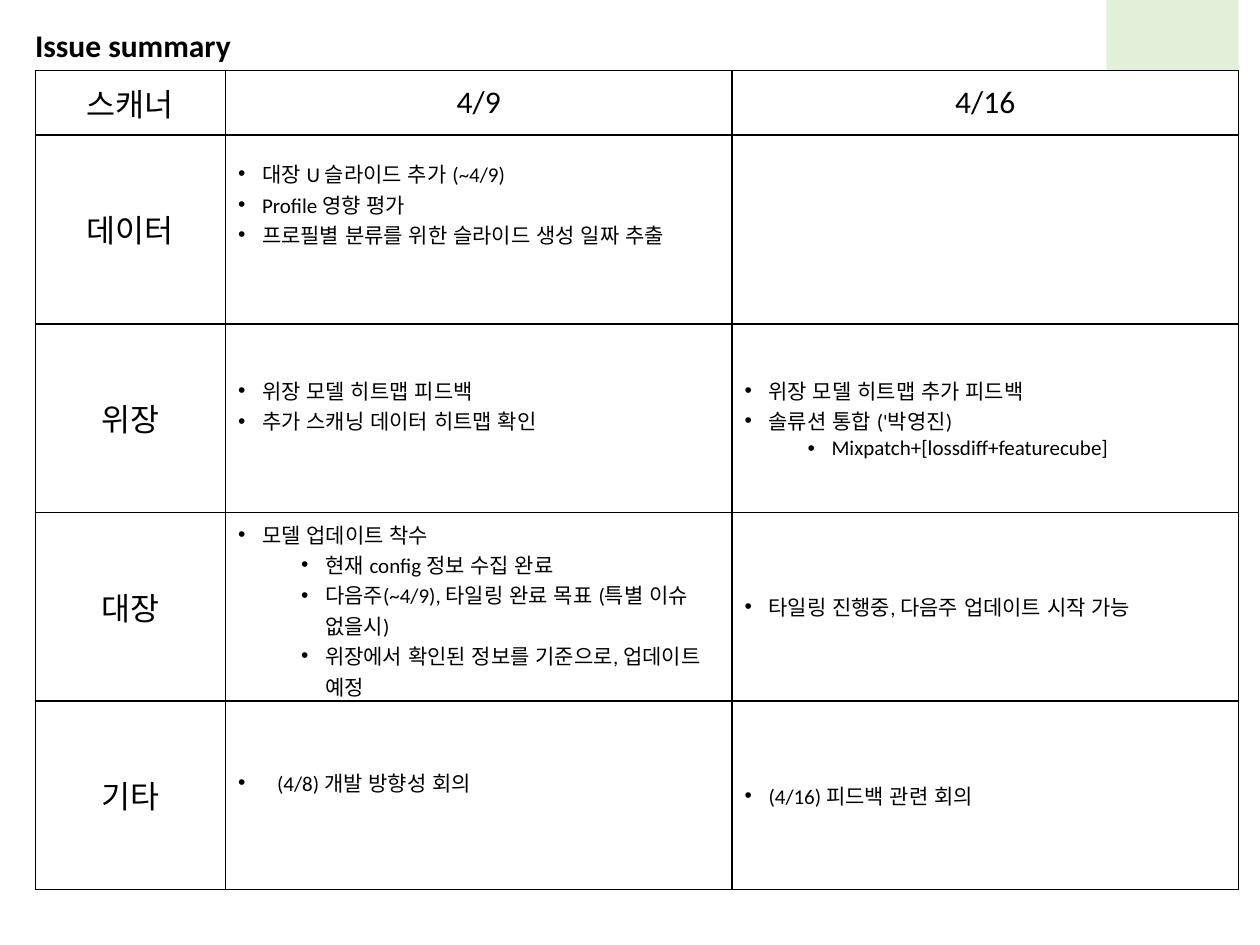
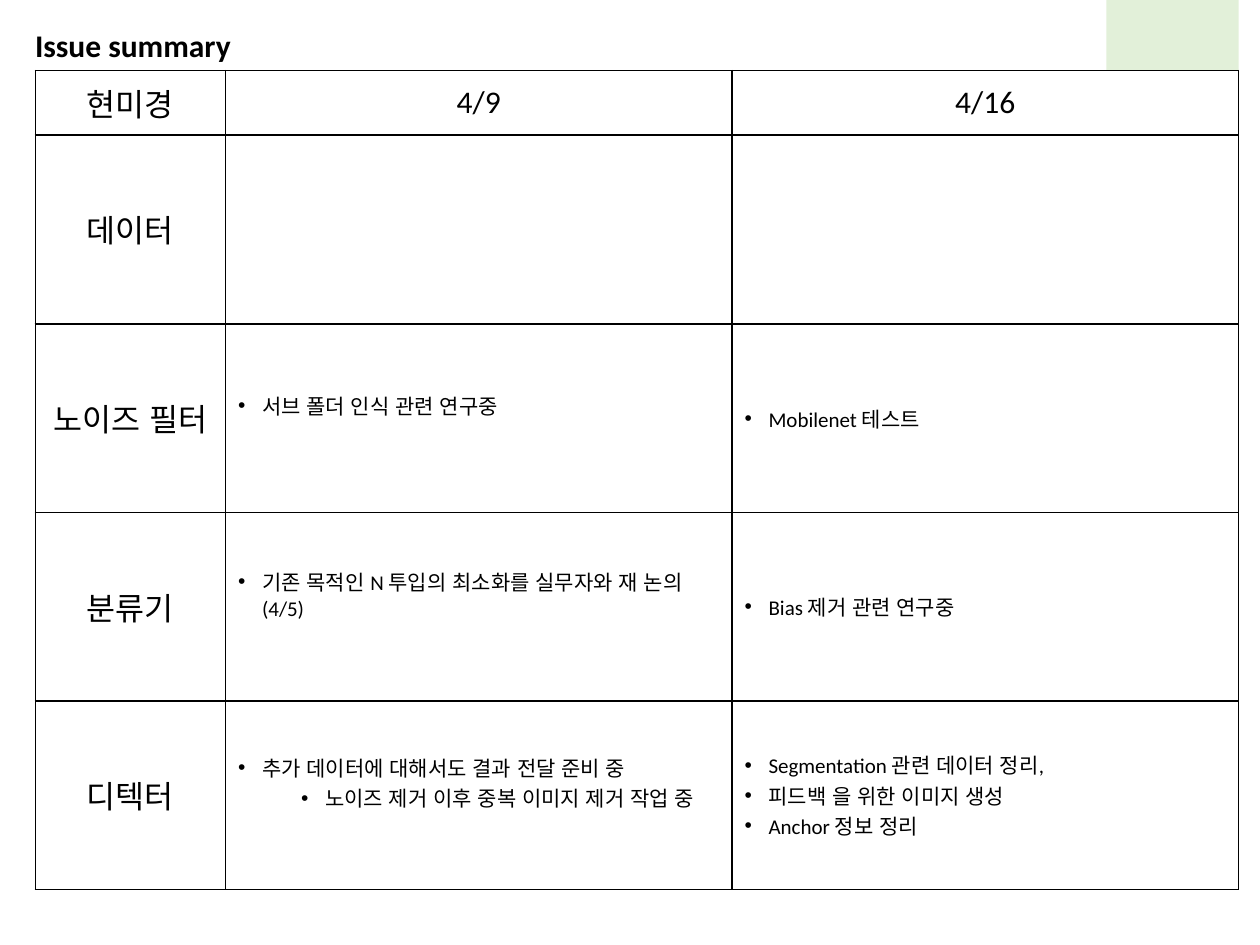
from dataclasses import dataclass, field

from lxml import etree
from pptx import Presentation
from pptx.dml.color import RGBColor
from pptx.enum.lang import MSO_LANGUAGE_ID
from pptx.enum.shapes import MSO_SHAPE
from pptx.enum.text import MSO_ANCHOR, PP_ALIGN
from pptx.oxml.ns import qn
from pptx.util import Inches, Pt

RECTANGLE = MSO_SHAPE.RECTANGLE
MIDDLE = MSO_ANCHOR.MIDDLE
CENTER = PP_ALIGN.CENTER
KOREAN = MSO_LANGUAGE_ID.KOREAN

FONT = "Calibri"
BLACK, WHITE, GREEN = "000000", "FFFFFF", "E2F0D9"
TITLE = "Issue summary"
DATES = ["4/9", "4/16"]

TABLE_LEFT, TABLE_TOP, LOWER_TOP = 0.28, 0.56, 2.57
COLUMN_WIDTHS = [1.51, 4.02, 4.02]
HEADER_HEIGHT, ROW_HEIGHT = 0.51, 4.49 / 3
CELL_MARGIN = 0.05

# Level, left margin and hanging indent of each bullet style
MAIN = (0, 0.19, 0.19)
WIDE = (0, 0.31, 0.31)
SUB = (1, 0.69, 0.19)


@dataclass
class Notes:
    """Bullets of one cell; bottom_gap raises them above the middle."""
    bullets: list = field(default_factory=list)
    bottom_gap: float = 0


EMPTY_ROW = ("", Notes(), Notes())

# Each slide: topic, rows of the upper table, rows of the lower table,
# where a row is (label, notes for each date)
REPORTS = [
    ("스캐너", [
        ("데이터",
         Notes([("대장 U 슬라이드 추가 (~4/9)", MAIN),
                ("Profile 영향 평가", MAIN),
                ("프로필별 분류를 위한 슬라이드 생성 일짜 추출", MAIN)], 0.4),
         Notes()),
        EMPTY_ROW,
    ], [
        ("위장",
         Notes([("위장 모델 히트맵 피드백", MAIN),
                ("추가 스캐닝 데이터 히트맵 확인", MAIN)], 0.2),
         Notes([("위장 모델 히트맵 추가 피드백", MAIN),
                ("솔류션 통합 ('박영진)", MAIN),
                ("Mixpatch+[lossdiff+featurecube]", SUB)])),
        ("대장",
         Notes([("모델 업데이트 착수", MAIN),
                ("현재 config 정보 수집 완료", SUB),
                ("다음주(~4/9), 타일링 완료 목표 (특별 이슈 없을시)", SUB),
                ("위장에서 확인된 정보를 기준으로, 업데이트 예정", SUB)]),
         Notes([("타일링 진행중, 다음주 업데이트 시작 가능", MAIN)])),
        ("기타",
         Notes([("(4/8) 개발 방향성 회의", WIDE)], 0.2),
         Notes([("(4/16) 피드백 관련 회의", MAIN)])),
    ]),
    ("현미경", [
        ("데이터", Notes(), Notes()),
    ], [
        ("노이즈 필터",
         Notes([("서브 폴더 인식 관련 연구중", MAIN)], 0.2),
         Notes([("Mobilenet 테스트", MAIN)])),
        ("분류기",
         Notes([("기존 목적인 N 투입의 최소화를 실무자와 재 논의 (4/5)", MAIN)], 0.2),
         Notes([("Bias 제거 관련 연구중", MAIN)])),
        ("디텍터",
         Notes([("추가 데이터에 대해서도 결과 전달 준비 중", MAIN),
                ("노이즈 제거 이후 중복 이미지 제거 작업 중", SUB)], 0.2),
         Notes([("Segmentation 관련 데이터 정리,", MAIN),
                ("피드백 을 위한 이미지 생성", MAIN),
                ("Anchor 정보 정리", MAIN)])),
    ]),
]


def color(hex_string):
    return RGBColor.from_string(hex_string)


def write(para, text, size, bold=False):
    para.text = text
    for span in para.runs:
        span.font.name = FONT
        span.font.size = Pt(size)
        span.font.bold = bold
        span.font.language_id = KOREAN
        span.font.color.rgb = color(BLACK)


def add_bullet(para, style):
    level, left, hang = style
    para.level = level
    properties = para._p.get_or_add_pPr()
    properties.set("marL", str(Inches(left)))
    properties.set("indent", str(-Inches(hang)))
    etree.SubElement(properties, qn("a:buFont"), typeface="Arial")
    etree.SubElement(properties, qn("a:buChar"), char="•")


def format_cell(cell):
    """Give a cell black borders, a white fill and middle alignment."""
    properties = cell._tc.get_or_add_tcPr()
    for side in ("a:lnL", "a:lnR", "a:lnT", "a:lnB"):
        border = etree.SubElement(properties, qn(side), w=str(Pt(1)))
        fill = etree.SubElement(border, qn("a:solidFill"))
        etree.SubElement(fill, qn("a:srgbClr"), val=BLACK)
    cell.fill.solid()
    cell.fill.fore_color.rgb = color(WHITE)
    cell.vertical_anchor = MIDDLE


def fill_cell(cell, content):
    """Write a centred label or a list of bulleted notes."""
    format_cell(cell)
    frame = cell.text_frame
    if isinstance(content, str):
        write(frame.paragraphs[0], content, 18)
        frame.paragraphs[0].alignment = CENTER
        return
    cell.margin_bottom = Inches(CELL_MARGIN + content.bottom_gap)
    for index, (text, style) in enumerate(content.bullets):
        para = frame.add_paragraph() if index else frame.paragraphs[0]
        add_bullet(para, style)
        write(para, text, 12)


def add_issue_table(page, top, rows, heights):
    frame = page.shapes.add_table(
        len(rows), len(COLUMN_WIDTHS), Inches(TABLE_LEFT), Inches(top),
        Inches(sum(COLUMN_WIDTHS)), Inches(sum(heights)))
    table = frame.table
    table.first_row = table.horz_banding = False
    for column, width in zip(table.columns, COLUMN_WIDTHS):
        column.width = Inches(width)
    for row, height, contents in zip(table.rows, heights, rows):
        row.height = Inches(height)
        for cell, content in zip(row.cells, contents):
            fill_cell(cell, content)


def add_frame(page):
    """Add the green corner block and the title."""
    block = page.shapes.add_shape(
        RECTANGLE, Inches(8.78), Inches(-0.15), Inches(1.05), Inches(1.44))
    block.shadow.inherit = False
    block.fill.solid()
    block.fill.fore_color.rgb = color(GREEN)
    block.line.fill.background()
    box = page.shapes.add_textbox(
        Inches(0.18), Inches(0.16), Inches(3.13), Inches(0.4))
    box.text_frame.word_wrap = True
    write(box.text_frame.paragraphs[0], TITLE, 18, bold=True)


def main():
    deck = Presentation()
    deck.slide_width, deck.slide_height = Inches(10), Inches(7.5)
    for topic, upper_rows, lower_rows in REPORTS:
        page = deck.slides.add_slide(deck.slide_layouts[6])
        add_frame(page)
        add_issue_table(page, TABLE_TOP, [(topic, *DATES), *upper_rows],
                        [HEADER_HEIGHT] + [ROW_HEIGHT] * len(upper_rows))
        add_issue_table(page, LOWER_TOP, lower_rows,
                        [ROW_HEIGHT] * len(lower_rows))
    deck.save("out.pptx")


if __name__ == "__main__":
    main()
